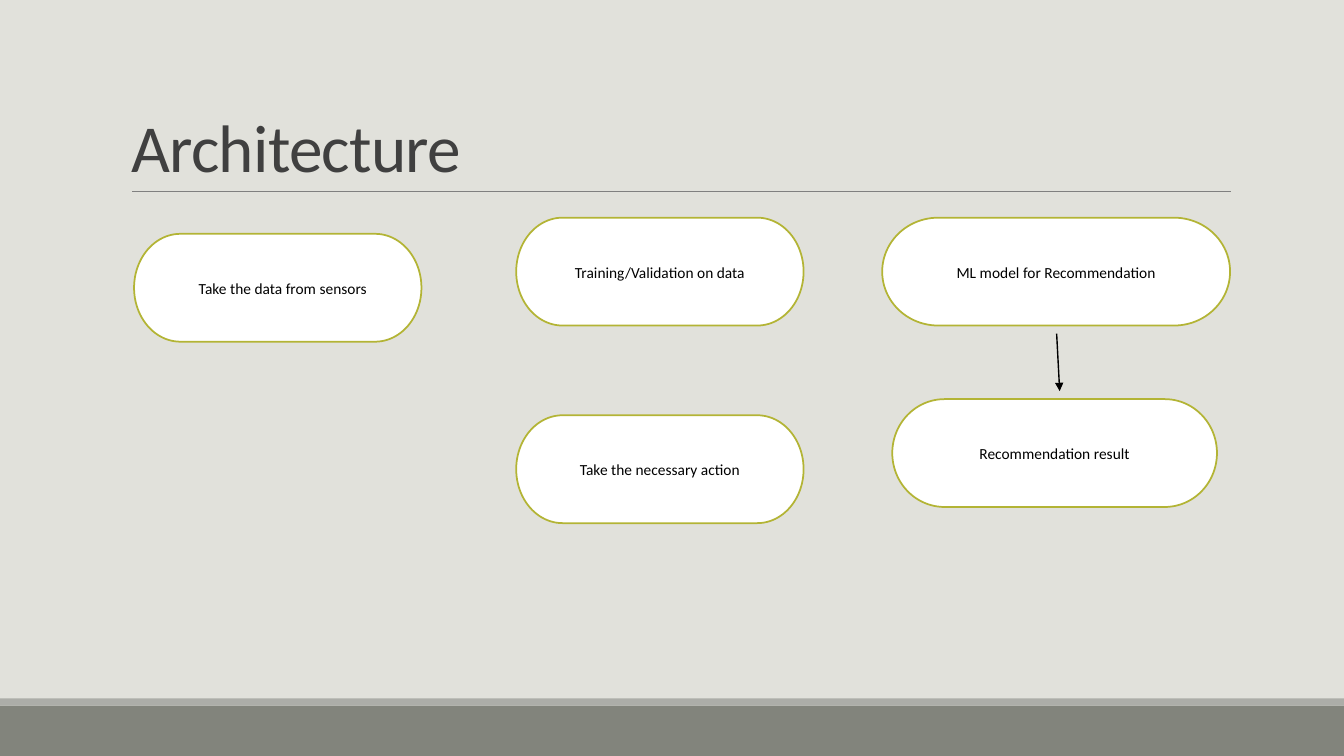
from lxml.etree import SubElement
from pptx import Presentation
from pptx.dml.color import RGBColor
from pptx.enum.shapes import MSO_CONNECTOR as Connector, MSO_SHAPE as Shape
from pptx.enum.text import MSO_ANCHOR as Anchor, MSO_AUTO_SIZE as AutoSize, PP_ALIGN as Align
from pptx.oxml.ns import qn
from pptx.util import Inches, Pt

BACKGROUND = RGBColor(0xE1, 0xE1, 0xDB)
FOOTER = RGBColor(0x82, 0x84, 0x7C)
FOOTER_EDGE = RGBColor(0xAC, 0xAD, 0xA8)
RULE = RGBColor(0x80, 0x80, 0x80)
TITLE = RGBColor(0x40, 0x40, 0x40)
OUTLINE = RGBColor(0xB3, 0xB4, 0x35)
WHITE = RGBColor(0xFF, 0xFF, 0xFF)
BLACK = RGBColor(0x00, 0x00, 0x00)

STEP_HEIGHT = 1.07
STEPS = [
    ("Take the data from sensors", 1.33, 2.32, 2.85, 0.2),
    ("Training/Validation on data", 5.12, 2.16, 2.85, 0.1),
    ("ML model for Recommendation", 8.75, 2.16, 3.45, 0.1),
    ("Recommendation result", 8.85, 3.96, 3.22, 0.1),
    ("Take the necessary action", 5.12, 4.12, 2.85, 0.1),
]


def set_attributes(target, values):
    for name, value in values.items():
        setattr(target, name, value)


def write_text(frame, text, size, color, frame_format, paragraph_format):
    set_attributes(frame, {"word_wrap": True, **frame_format})
    paragraph = frame.paragraphs[0]
    set_attributes(paragraph, paragraph_format)
    run = paragraph.add_run()
    run.text = text
    set_attributes(run.font, {"name": "Calibri", "size": Pt(size)})
    run.font.color.rgb = color
    return run


def add_filled_shape(slide, kind, left, top, width, height, color):
    shape = slide.shapes.add_shape(
        kind, Inches(left), Inches(top), Inches(width), Inches(height))
    shape.shadow.inherit = False
    shape.fill.solid()
    shape.fill.fore_color.rgb = color
    shape.line.fill.background()
    return shape


def add_line(slide, start, end, color, width, arrow=False):
    points = [Inches(value) for value in (*start, *end)]
    connector = slide.shapes.add_connector(Connector.STRAIGHT, *points)
    connector.line.color.rgb = color
    connector.line.width = Pt(width)
    if arrow:
        SubElement(connector.line._get_or_add_ln(), qn("a:tailEnd"), type="triangle")
    SubElement(connector._element.spPr, qn("a:effectLst"))


def add_title(slide, text):
    title = slide.shapes.title
    set_attributes(title, {"left": Inches(1.2), "top": Inches(0.31),
                           "width": Inches(11), "height": Inches(1.59)})
    run = write_text(
        title.text_frame, text, 48, TITLE,
        {"vertical_anchor": Anchor.BOTTOM, "auto_size": AutoSize.NONE},
        {"alignment": Align.LEFT, "line_spacing": 0.85})
    run.font._element.set("spc", "-50")


def add_step(slide, text, left, top, width, margin_left):
    shape = add_filled_shape(
        slide, Shape.FLOWCHART_TERMINATOR, left, top, width, STEP_HEIGHT, WHITE)
    shape.line.color.rgb = OUTLINE
    shape.line.width = Pt(1.25)
    write_text(
        shape.text_frame, text, 11, BLACK,
        {"vertical_anchor": Anchor.MIDDLE, "margin_left": Inches(margin_left)},
        {"alignment": Align.CENTER, "line_spacing": 1.07, "space_after": Pt(8)})


def main():
    presentation = Presentation()
    set_attributes(presentation, {"slide_width": Inches(13.33),
                                  "slide_height": Inches(7.5)})
    slide = presentation.slides.add_slide(presentation.slide_layouts[5])
    slide.background.fill.solid()
    slide.background.fill.fore_color.rgb = BACKGROUND
    add_filled_shape(slide, Shape.RECTANGLE, 0, 7, 13.33, 0.5, FOOTER)
    add_filled_shape(slide, Shape.RECTANGLE, 0, 6.93, 13.33, 0.07, FOOTER_EDGE)
    add_line(slide, (1.31, 1.9), (12.21, 1.9), RULE, 0.5)
    add_title(slide, "Architecture")
    for step in STEPS:
        add_step(slide, *step)
    add_line(slide, (10.48, 3.31), (10.51, 3.88), BLACK, 1, arrow=True)
    presentation.save("out.pptx")


if __name__ == "__main__":
    main()
